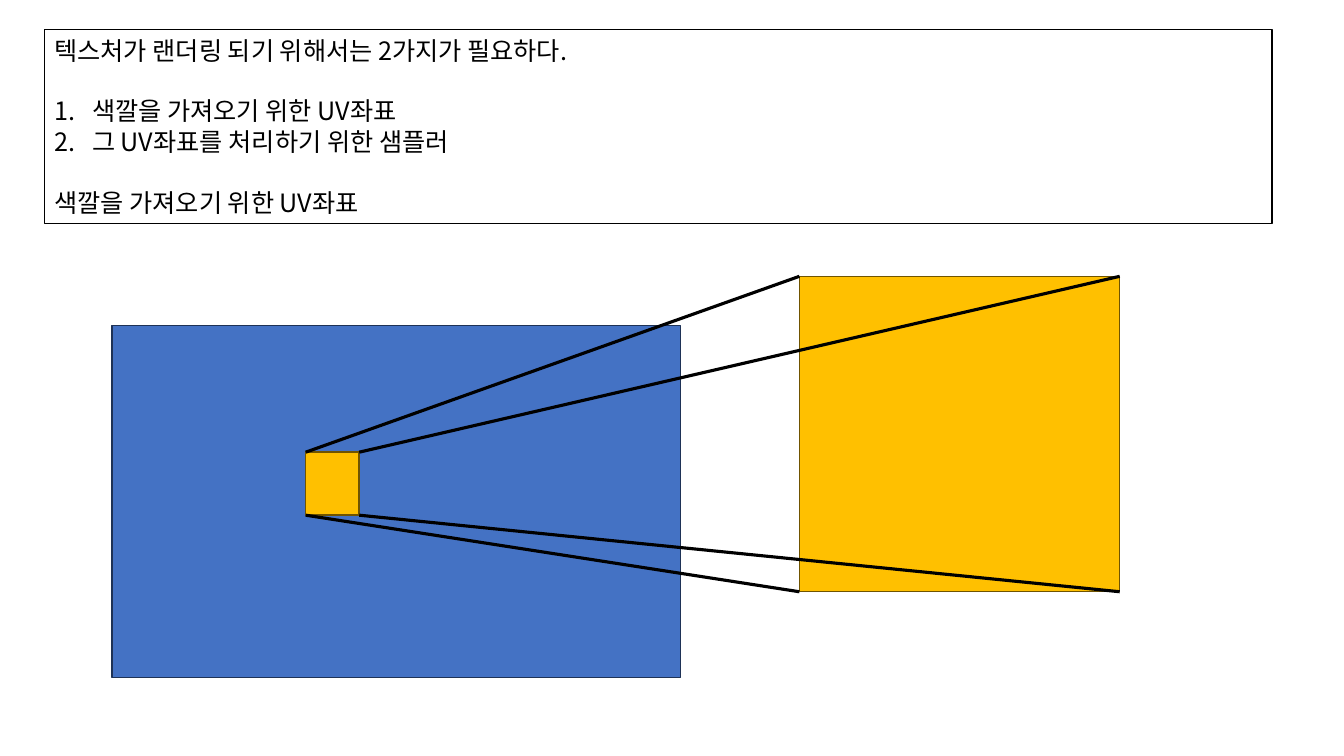
import pptx
import pptx.dml.color
import pptx.enum.shapes
import pptx.enum.text
import pptx.oxml.ns
import pptx.util
from lxml import etree

Pt = pptx.util.Pt
RGBColor = pptx.dml.color.RGBColor
qn = pptx.oxml.ns.qn

BLACK = RGBColor(0x00, 0x00, 0x00)
WHITE = RGBColor(0xFF, 0xFF, 0xFF)
BLUE = RGBColor(0x44, 0x72, 0xC4)
BLUE_EDGE = RGBColor(0x1E, 0x32, 0x56)
GOLD = RGBColor(0xFF, 0xC0, 0x00)
GOLD_EDGE = RGBColor(0x70, 0x54, 0x00)

FONT = "Noto Sans CJK KR"
LINE_HEIGHT = 21.7
NUMBER_INDENT = 27

# text, numbered, blank line above
PARAGRAPHS = [
    ("텍스처가 랜더링 되기 위해서는 2가지가 필요하다.", False, False),
    ("색깔을 가져오기 위한 UV좌표", True, True),
    ("그 UV좌표를 처리하기 위한 샘플러", True, False),
    ("색깔을 가져오기 위한 UV좌표", False, True),
]

# left, top, width, height
NOTE = (31.7, 21.3, 877, 138.2)
TEXTURE = (79.9, 232.4, 406.2, 251.7)
TEXEL = (218.4, 323, 38.2, 45)
ENLARGED_TEXEL = (571, 197.4, 228.8, 225.3)


def add_rectangle(slide, box, fill, edge):
    shape = slide.shapes.add_shape(
        pptx.enum.shapes.MSO_SHAPE.RECTANGLE, *map(Pt, box))
    shape.shadow.inherit = False
    shape.fill.solid()
    shape.fill.fore_color.rgb = fill
    shape.line.color.rgb = edge
    shape.line.width = Pt(1)
    return shape


def write_note(text_frame):
    text_frame.word_wrap = True
    text_frame.vertical_anchor = pptx.enum.text.MSO_ANCHOR.TOP
    text_frame.text = "\n".join(text for text, *_ in PARAGRAPHS)
    for paragraph, (_, numbered, gap) in zip(text_frame.paragraphs, PARAGRAPHS):
        paragraph.alignment = pptx.enum.text.PP_ALIGN.LEFT
        paragraph.line_spacing = Pt(LINE_HEIGHT)
        if gap:
            paragraph.space_before = Pt(LINE_HEIGHT)
        if numbered:
            properties = paragraph._p.get_or_add_pPr()
            properties.set("marL", str(Pt(NUMBER_INDENT)))
            properties.set("indent", str(-Pt(NUMBER_INDENT)))
            etree.SubElement(properties, qn("a:buFont"), typeface=FONT)
            etree.SubElement(properties, qn("a:buAutoNum"), type="arabicPeriod")
        for run in paragraph.runs:
            run.font.size = Pt(18)
            run.font.name = FONT
            run.font.color.rgb = BLACK
            etree.SubElement(run.font._element, qn("a:ea"), typeface=FONT)


def corners(box):
    left, top, width, height = box
    return [(x, y) for x in (left, left + width) for y in (top, top + height)]


def add_line(slide, start, end):
    connector = slide.shapes.add_connector(
        pptx.enum.shapes.MSO_CONNECTOR.STRAIGHT, *map(Pt, start + end))
    connector.line.color.rgb = BLACK
    connector.line.width = Pt(2.25)
    etree.SubElement(connector._element.spPr, qn("a:effectLst"))


def main():
    presentation = pptx.Presentation()
    presentation.slide_width = Pt(960)
    presentation.slide_height = Pt(540)
    slide = presentation.slides.add_slide(presentation.slide_layouts[6])

    write_note(add_rectangle(slide, NOTE, WHITE, BLACK).text_frame)
    add_rectangle(slide, TEXTURE, BLUE, BLUE_EDGE)
    for box in (TEXEL, ENLARGED_TEXEL):
        add_rectangle(slide, box, GOLD, GOLD_EDGE)
    for start, end in zip(corners(TEXEL), corners(ENLARGED_TEXEL)):
        add_line(slide, start, end)

    presentation.save("out.pptx")


if __name__ == "__main__":
    main()
